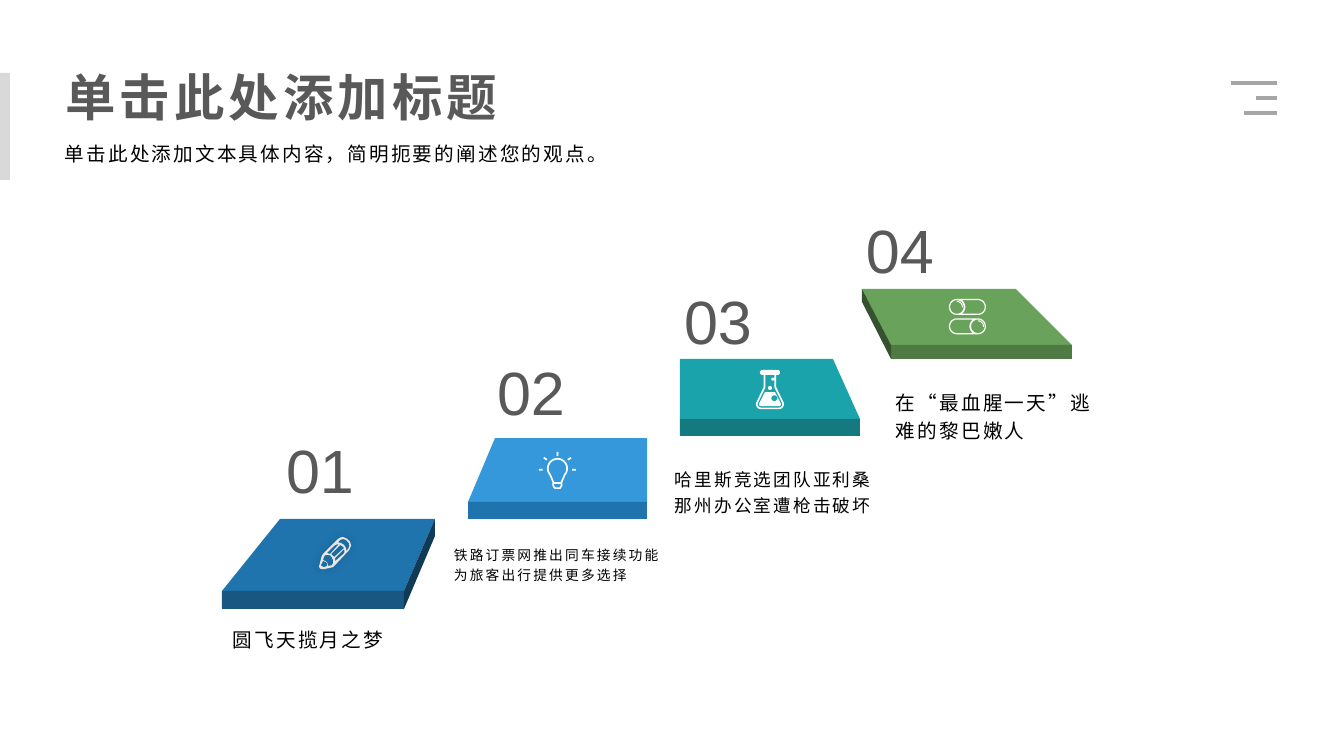
from dataclasses import dataclass
from math import cos, radians, sin

from lxml import etree
from pptx import Presentation
from pptx import util as u
from pptx.dml.color import RGBColor
from pptx.enum import shapes, text
from pptx.oxml.ns import qn

PX = 914400 / 100.8
ICON_UNIT = PX / 10  # icons are drawn on a grid of tenths of a px


@dataclass(frozen=True)
class Theme:
    font: str = "Arial"
    heading: str = "595959"
    body: str = "000000"
    bar: str = "D9D9D9"
    menu: str = "A6A6A6"
    icon: str = "FFFFFF"
    pencil: str = "E7E6E6"
    title_size: float = 36
    number_size: float = 43.6
    body_size: float = 14
    menu_width: float = 3


THEME = Theme()


def px(*lengths):
    return [u.Emu(round(length * PX)) for length in lengths]


def paint(shape, color):
    shape.shadow.inherit = False
    shape.fill.solid()
    shape.fill.fore_color.rgb = RGBColor.from_string(color)
    shape.line.fill.background()
    return shape


def write(shape, words, size, color, spacing=0.0, leading=1.0, bold=False,
          insets=(10, 5, 10, 5), anchor=text.MSO_ANCHOR.TOP, wrap=True):
    frame = shape.text_frame
    frame.auto_size = text.MSO_AUTO_SIZE.NONE
    frame.word_wrap = wrap
    frame.vertical_anchor = anchor
    (frame.margin_left, frame.margin_top,
     frame.margin_right, frame.margin_bottom) = px(*insets)
    frame.text = words
    paragraph = frame.paragraphs[0]
    paragraph.alignment = text.PP_ALIGN.LEFT
    paragraph.line_spacing = leading
    font = paragraph.font
    font.name, font.size, font.bold = THEME.font, u.Pt(size), bold
    font.color.rgb = RGBColor.from_string(color)
    paragraph._p.pPr.find(qn("a:defRPr")).set("spc", str(round(spacing * 100)))


def draw_outline(slide, contours, color, origin=(0, 0), scale=PX):
    """Draw closed contours as one shape; a contour inside another is a hole."""
    builder = slide.shapes.build_freeform(*contours[0][0], scale=scale)
    for index, contour in enumerate(contours):
        if index:
            builder.move_to(*contour[0])
        builder.add_line_segments(contour[1:], close=True)
    return paint(builder.convert_to_shape(*px(*origin)), color)


def arc(x, y, radius, start=0, end=360, steps=24):
    angles = [radians(start + (end - start) * i / steps) for i in range(steps + 1)]
    return [(x + radius * cos(a), y + radius * sin(a)) for a in angles]


def rectangle(left, top, right, bottom):
    return [(left, top), (right, top), (right, bottom), (left, bottom)]


def mirror(contour, width):
    return [(width - x, y) for x, y in contour]


def pill(left, top, right, bottom):
    radius = (bottom - top) / 2
    return (arc(left + radius, top + radius, radius, 90, 270)
            + arc(right - radius, top + radius, radius, -90, 90))


def pencil_icon():
    body = [(40, 170), (190, 20), (215, 5), (242, 0), (285, 20), (310, 45),
            (322, 85), (302, 131), (151, 292), (140, 302), (45, 323),
            (10, 317), (0, 295), (28, 190)]
    low_stripe = [(161, 242), (161, 212), (252, 121), (255, 155), (242, 172)]
    middle_stripe = [(151, 200), (122, 170), (212, 80), (232, 92), (252, 110)]
    high_stripe = [(110, 170), (80, 160), (161, 80), (200, 70)]
    tip = [(50, 302), (18, 285), (40, 240), (70, 250), (82, 268), (82, 290)]
    wood = [(92, 290), (82, 255), (62, 240), (40, 230), (50, 200), (60, 184),
            (80, 180), (110, 182), (128, 202), (141, 232), (141, 262), (130, 282)]
    eraser = [(292, 120), (272, 140), (270, 110), (252, 80), (220, 60), (190, 52),
              (212, 30), (240, 20), (270, 30), (300, 60), (304, 90)]
    return [body, low_stripe, middle_stripe, high_stripe, tip, wood, eraser]


def bulb_icon():
    glass = arc(185, 165, 105, 140, 400) + [
        (235, 302), (235, 340), (215, 370), (155, 370), (135, 340), (135, 302)]
    inside = arc(185, 165, 88, 140, 400) + [(217, 302), (153, 302)]
    base = [(153, 320), (217, 320), (217, 340), (205, 354), (165, 354), (153, 340)]
    side_ray = rectangle(333, 170, 370, 187)
    slanted_ray = [(315, 50), (327, 62), (297, 85), (285, 73)]
    return [glass, inside, base, rectangle(176, 0, 194, 40), side_ray,
            slanted_ray, mirror(side_ray, 370), mirror(slanted_ray, 370)]


def flask_icon():
    def vessel(half_neck, top, shoulder, radius):
        right = [(140 + half_neck, top), (140 + half_neck, shoulder)]
        right += arc(230, 343, radius, -30, 90)
        return right + mirror(right, 280)[::-1]

    return [pill(40, 0, 240, 50), vessel(62, 50, 170, 50), vessel(45, 50, 175, 33),
            vessel(50, 222, 222, 20), arc(184, 283, 30), arc(140, 180, 20),
            arc(168, 92, 15)]


def toggles_icon():
    def toggle(top, flipped):
        middle = top + 80
        track = arc(80, middle, 84, -54, 54) + arc(290, middle, 68, 90, -90)
        knob = 290 if flipped else 80
        glint = arc(knob, middle, 60, -90, 5) + arc(knob, middle, 50, 5, -90)
        return [pill(0, top, 370, top + 160), arc(knob, middle, 68),
                mirror(track, 370) if flipped else track, glint]

    return toggle(0, False) + toggle(194, True)


def add_glow_shadow(shape):
    effects = shape._element.spPr.find(qn("a:effectLst"))
    shadow = etree.SubElement(effects, qn("a:outerShdw"), blurRad="76200",
                              dist="0", dir="18900000")
    color = etree.SubElement(shadow, qn("a:srgbClr"), val="000000")
    etree.SubElement(color, qn("a:alpha"), val="20000")


def add_header(slide, left, top, width):
    title = slide.shapes.title
    title.left, title.top, title.width, title.height = px(left, top, width, 82)
    write(title, "单击此处添加标题", THEME.title_size, THEME.heading, 3, 1.2, True,
          (10, 5, 10, 0), text.MSO_ANCHOR.BOTTOM)
    subtitle = slide.shapes.add_textbox(*px(left, top + 92, width, 40))
    write(subtitle, "单击此处添加文本具体内容，简明扼要的阐述您的观点。",
          THEME.body_size, THEME.body, 1.5, 1.2, insets=(10, 0, 10, 5))
    bar = slide.shapes.add_shape(shapes.MSO_SHAPE.RECTANGLE,
                                 *px(0, top + 28, 10, 107))
    paint(bar, THEME.bar)


def add_menu_mark(slide, right, top):
    for row, length in enumerate((46, 21, 33)):
        y = top + 15 * row
        line = slide.shapes.add_connector(shapes.MSO_CONNECTOR.STRAIGHT,
                                          *px(right, y, right - length, y))
        line.line.width = u.Pt(THEME.menu_width)
        line.line.color.rgb = RGBColor.from_string(THEME.menu)
        etree.SubElement(line._element.spPr, qn("a:effectLst"))


@dataclass(frozen=True)
class Step:
    front: tuple  # left, top, width, height of the front face
    back: tuple  # left and right ends of the back edge, from the front's left
    depth: int
    colors: tuple  # top, front, side
    number_at: tuple
    caption: str
    caption_size: float
    icon: list
    icon_at: tuple
    icon_color: str = THEME.icon


STEPS = [
    Step((222, 591, 182, 18), (58, 213), 72, ("1F74AD", "175782", "103A56"),
         (276, 427), "圆飞天揽月之梦", THEME.body_size,
         pencil_icon(), (319, 537), THEME.pencil),
    Step((468, 502, 179, 17), (27, 179), 64, ("3498DB", "1F74AD", None),
         (487, 350), "铁路订票网推出同车接续功能 为旅客出行提供更多选择", 9.8,
         bulb_icon(), (539, 452)),
    Step((680, 419, 180, 17), (0, 153), 60, ("1AA3AA", "147A7F", None),
         (674, 279), "哈里斯竞选团队亚利桑那州办公室遭枪击破坏", 12.6,
         flask_icon(), (756, 370)),
    Step((891, 345, 181, 14), (-29, 125), 56, ("69A35B", "4F7A44", "35522E"),
         (856, 208), "在“最血腥一天”逃难的黎巴嫩人", THEME.body_size,
         toggles_icon(), (949, 299)),
]


def add_step(slide, step, caption_at):
    left, top, width, height = step.front
    right, back_y = left + width, top - step.depth
    back_left, back_right = (left + offset for offset in step.back)
    top_color, front_color, side_color = step.colors
    draw_outline(slide, [[(back_left, back_y), (back_right, back_y),
                          (right, top), (left, top)]], top_color)
    front = slide.shapes.add_shape(shapes.MSO_SHAPE.RECTANGLE, *px(*step.front))
    paint(front, front_color)
    if side_color:
        near, far = (right, back_right) if back_right > right else (left, back_left)
        draw_outline(slide, [[(near, top), (near, top + height),
                              (far, back_y + height - 1), (far, back_y)]], side_color)
    icon = draw_outline(slide, step.icon, step.icon_color, step.icon_at, ICON_UNIT)
    if step.icon_color == THEME.pencil:
        add_glow_shadow(icon)
    number = slide.shapes.add_textbox(*px(*step.number_at, 89, 85))
    write(number, f"{STEPS.index(step) + 1:02}", THEME.number_size, THEME.heading,
          wrap=False)
    caption = slide.shapes.add_textbox(*px(*caption_at, 236, 72))
    write(caption, step.caption, step.caption_size, THEME.body, 1.5, 1.2)


def main():
    presentation = Presentation()
    presentation.slide_width, presentation.slide_height = px(1344, 756)
    slide = presentation.slides.add_slide(presentation.slide_layouts[5])
    add_header(slide, 55, 45, 1056)
    add_menu_mark(slide, 1277, 83)
    for index, step in enumerate(STEPS):
        add_step(slide, step, (223 + 221 * index, 618 - 79 * index))
    presentation.save("out.pptx")


if __name__ == "__main__":
    main()
